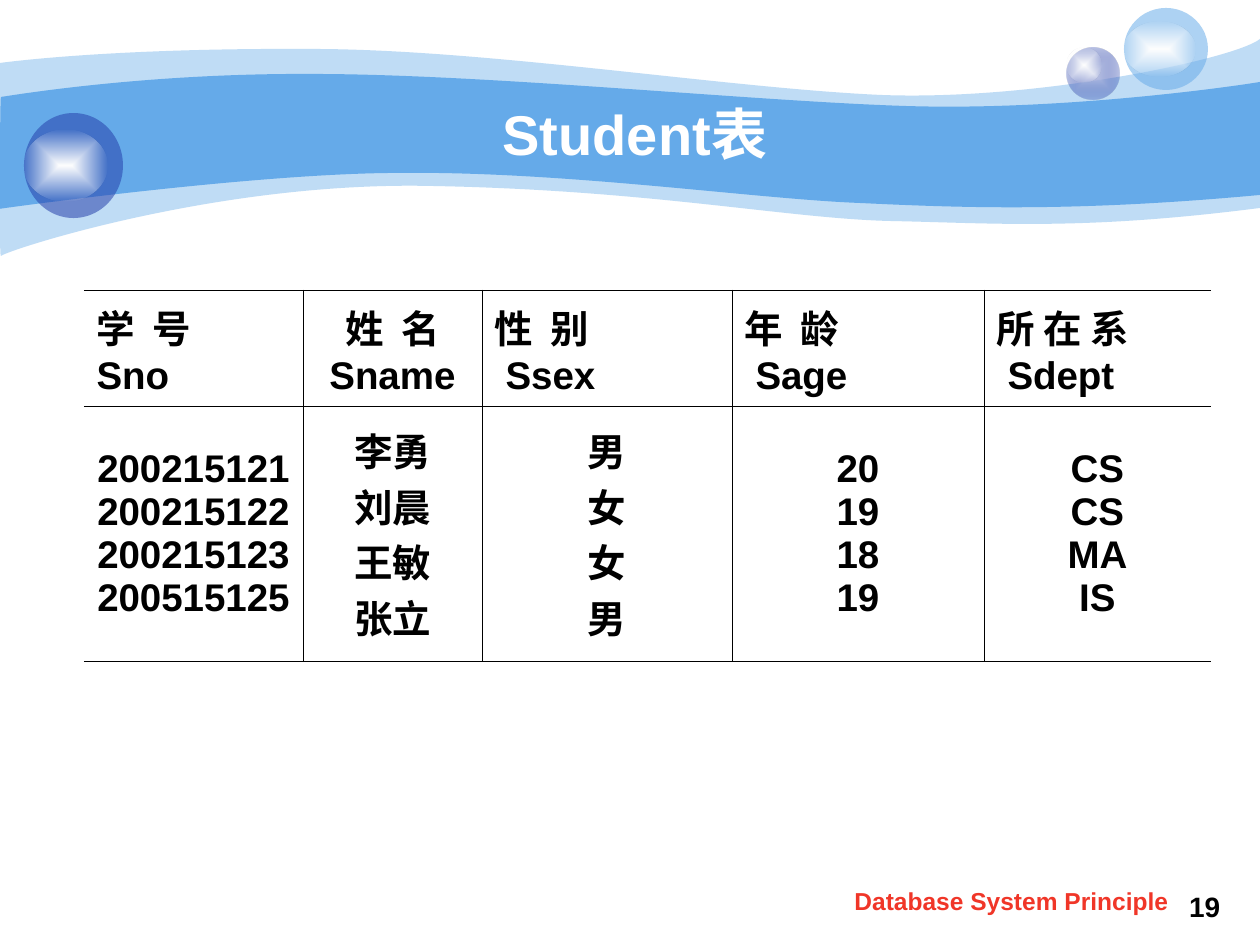
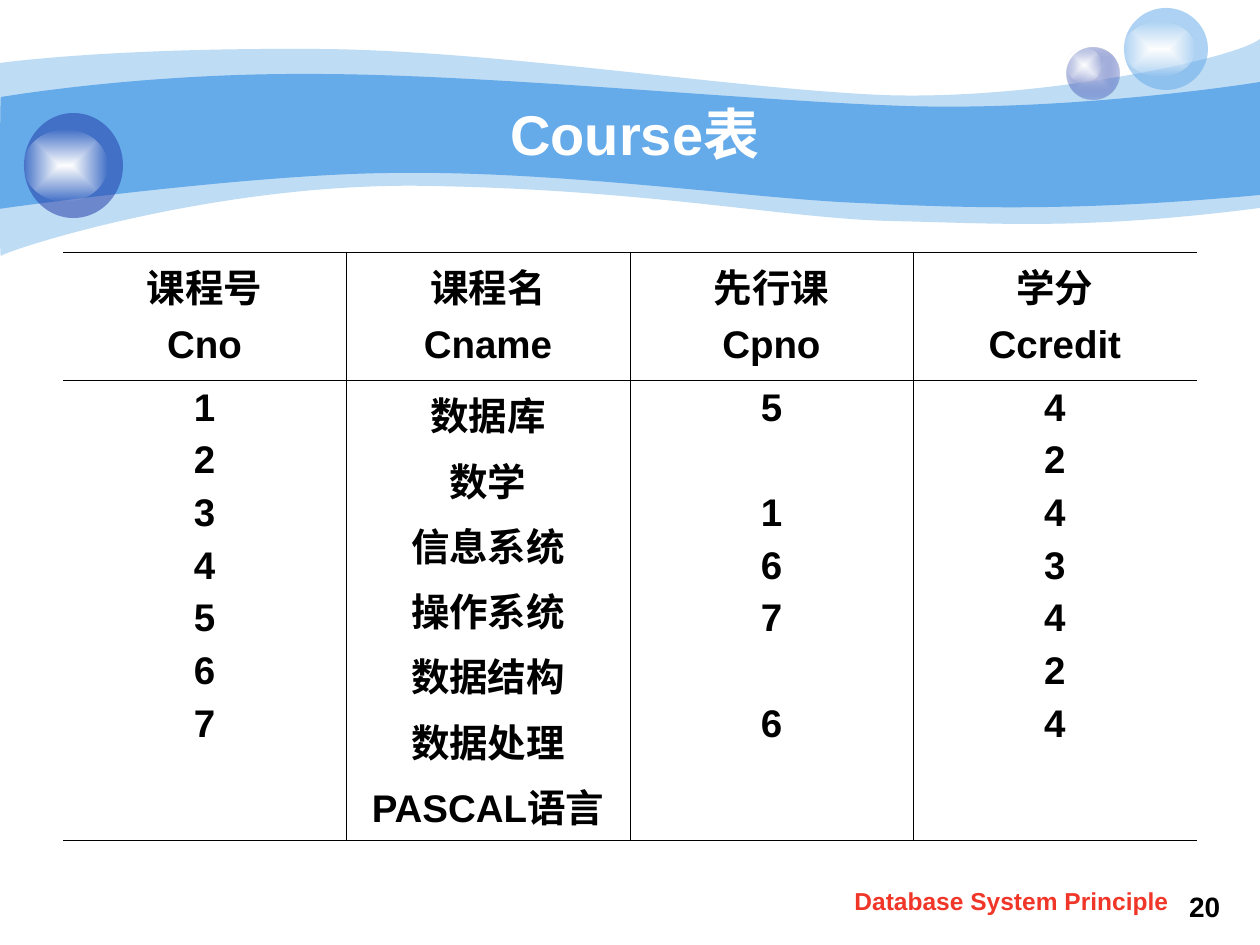
from dataclasses import dataclass

from lxml.etree import SubElement
from pptx import Presentation
from pptx.dml.color import RGBColor as Rgb
from pptx.enum.shapes import MSO_SHAPE as Shape
from pptx.enum.text import MSO_ANCHOR as Anchor, PP_ALIGN as Align
from pptx.oxml import parse_xml
from pptx.oxml.ns import nsdecls, qn
from pptx.util import Pt

SCALE = 914400 / 126  # EMU in one px
FONT = "Arial"
COLORS = {
    "sky": "65AAE9", "navy": "233DA9", "mist": "C7CEE9",
    "white": "FFFFFF", "black": "000000", "red": "F03628",
}
LINE = 24.6  # height in points of one table line of digits

# Bands: start point, then curves (three points) and straight lines (one)
OUTER = [(0, 63),
         [(30, 59), (135, 48), (311, 49)], [(486, 49), (725, 88), (881, 95)],
         [(1036, 101), (1235, 59), (1260, 39)], [(1260, 208)],
         [(1081, 231), (992, 223), (888, 221)],
         [(784, 218), (649, 190), (432, 186)],
         [(217, 181), (5, 251), (1, 256)], [(-1, 262), (0, 95), (0, 63)]]
INNER = [(1, 97),
         [(3, 97), (139, 73), (312, 74)], [(486, 74), (750, 101), (905, 106)],
         [(1060, 111), (1230, 87), (1260, 82)], [(1260, 195)],
         [(1075, 212), (964, 208), (859, 203)],
         [(755, 199), (563, 171), (399, 173)],
         [(256, 173), (-3, 209), (-1, 209)], [(0, 209), (0, 97), (1, 97)]]


@dataclass
class Col:
    width: int
    head: list
    body: list
    align: Align = Align.CENTER  # of the head
    indent: int = 0              # px, second head line
    spread: float = 0            # points between letters, first head line


def emu(*sizes):
    return [round(size * SCALE) for size in sizes]


def style(para, size, color, align=Align.CENTER):
    para.alignment = align
    font = para.font
    font.name, font.size, font.bold = FONT, Pt(size), True
    font.color.rgb = Rgb.from_string(COLORS[color])


def label(slide, box, text, size, color, anchor=Anchor.TOP):
    frame = slide.shapes.add_textbox(*emu(*box)).text_frame
    frame.word_wrap = True
    frame.vertical_anchor = anchor
    para = frame.paragraphs[0]
    para.text = text
    style(para, size, color)


def paint(shape, color, alpha=100):
    shape.shadow.inherit = False
    shape.line.fill.background()
    shape.fill.solid()
    shape.fill.fore_color.rgb = Rgb.from_string(COLORS[color])
    if alpha < 100:
        tint = shape._element.spPr.find(qn("a:solidFill"))[0]
        SubElement(tint, qn("a:alpha"), val=str(alpha * 1000))


def glow(shape, core, rim, alpha):
    """Fill from the core colour to a see-through rim."""
    paint(shape, core)
    props = shape._element.spPr
    grad = parse_xml(
        f'<a:gradFill {nsdecls("a")} rotWithShape="1"><a:gsLst>'
        f'<a:gs pos="0"><a:srgbClr val="{COLORS[core]}"/></a:gs>'
        f'<a:gs pos="100000"><a:srgbClr val="{COLORS[rim]}">'
        f'<a:alpha val="{alpha * 1000}"/></a:srgbClr></a:gs></a:gsLst>'
        '<a:path path="rect"><a:fillToRect l="50000" t="50000" '
        'r="50000" b="50000"/></a:path></a:gradFill>')
    props.replace(props.find(qn("a:solidFill")), grad)


def bend(shape, parts):
    """Join each three points of the outline into one cubic curve."""
    track = next(shape._element.iter(qn("a:path")))
    lines = iter(track.findall(qn("a:lnTo")))
    for part in parts:
        steps = [next(lines) for _ in part]
        if len(part) == 3:
            curve = parse_xml(f'<a:cubicBezTo {nsdecls("a")}/>')
            steps[0].addprevious(curve)
            for step in steps:
                curve.append(step[0])
                track.remove(step)


def band(slide, box, outline, alpha):
    left, top = box
    start, *parts = outline
    pen = slide.shapes.build_freeform(*emu(left + start[0], top + start[1]))
    pen.add_line_segments([emu(left + x, top + y)
                           for part in parts for x, y in part], close=True)
    shape = pen.convert_to_shape()
    bend(shape, parts)
    paint(shape, "sky", alpha)


def orb(slide, box, shine, color, alpha):
    """A ball with a shine whose box is relative to the ball."""
    left, top, wide, high = box
    dx, dy, w, h = shine
    add = slide.shapes.add_shape
    ball = add(Shape.OVAL, *emu(left, top, wide, high))
    if color == "mist":
        glow(ball, "mist", "navy", alpha)
    else:
        paint(ball, color, alpha)
    glow(add(Shape.OVAL, *emu(left + dx, top + dy, w, h)), "white", "white", 0)


def header(slide, box, title):
    left, top = box
    band(slide, box, OUTER, 41)
    band(slide, box, INNER, 100)
    orb(slide, (left + 1067, top + 48, 53, 51), (0, 0, 35, 34), "mist", 31)
    orb(slide, (left + 1124, top + 8, 84, 82), (0, 14, 71, 54), "sky", 53)
    orb(slide, (left + 24, top + 113, 99, 105), (0, 17, 83, 71), "navy", 53)
    label(slide, (left + 126, top + 94, 1018, 78), title, 32, "white",
          Anchor.MIDDLE)


def footer(slide, box, page):
    left, top = box
    label(slide, (left + 357, top + 3, 79, 47), str(page), 16, "black")
    label(slide, (left, top, 407, 44), "Database System Principle", 14, "red")


def border(cell, first, last):
    """Thin rules on all sides but the outer left and right."""
    props = cell._tc.get_or_add_tcPr()
    for side, hidden in (("L", first), ("R", last), ("T", False), ("B", False)):
        line = SubElement(props, qn(f"a:ln{side}"), w=str(Pt(0.45)))
        if hidden:
            SubElement(line, qn("a:noFill"))
        else:
            fill = SubElement(line, qn("a:solidFill"))
            SubElement(fill, qn("a:srgbClr"), val=COLORS["black"])


def write(cell, lines, gap, align):
    """One paragraph a line; None leaves a line's height open."""
    frame, skip = cell.text_frame, 0
    for row, text in enumerate(lines):
        if text is None:
            skip += gap + LINE
            continue
        para = frame.add_paragraph() if row else frame.paragraphs[0]
        para.text = text
        if row and gap + skip:
            para.space_before = Pt(gap + skip)
        skip = 0
        style(para, 22, "black", align)
    return frame.paragraphs


def grid(slide, box, cols, heights, gap=0, anchor=Anchor.TOP):
    left, top = box
    wide = sum(col.width for col in cols)
    table = slide.shapes.add_table(
        2, len(cols), *emu(left, top, wide, sum(heights))).table
    table.first_row = table.horz_banding = False
    for row, high in zip(table.rows, heights):
        row.height = emu(high)[0]
    for i, col in enumerate(cols):
        table.columns[i].width = emu(col.width)[0]
        cells = table.cell(0, i), table.cell(1, i)
        for cell in cells:
            border(cell, i == 0, i == len(cols) - 1)
            cell.fill.background()
            cell.vertical_anchor = anchor
        name, code = write(cells[0], col.head, gap, col.align)
        if col.spread:
            props = name.runs[0]._r.get_or_add_rPr()
            props.set("spc", str(round(col.spread * 100)))
        if col.indent:
            code._p.get_or_add_pPr().set("marL", str(emu(col.indent)[0]))
        write(cells[1], col.body, gap, Align.CENTER)


def page(deck, title, number):
    slide = deck.slides.add_slide(deck.slide_layouts[6])
    header(slide, (0, 0), title)
    footer(slide, (808, 880), number)
    return slide


def student(deck):
    cols = [
        Col(219, ["学 号", "Sno"],
            ["200215121", "200215122", "200215123", "200515125"],
            Align.LEFT, spread=2.5),
        Col(179, ["姓 名", "Sname"], ["李勇", "刘晨", "王敏", "张立"],
            spread=2.5),
        Col(250, ["性 别", "Ssex"], ["男", "女", "女", "男"],
            Align.LEFT, 11, 2.5),
        Col(252, ["年 龄", "Sage"], ["20", "19", "18", "19"],
            Align.LEFT, 11, 2.5),
        Col(227, ["所 在 系", "Sdept"], ["CS", "CS", "MA", "IS"],
            Align.LEFT, 11),
    ]
    grid(page(deck, "Student表", 19), (84, 290), cols, (116, 255),
         anchor=Anchor.MIDDLE)


def course(deck):
    cols = [
        Col(283, ["课程号", "Cno"], list("1234567")),
        Col(284, ["课程名", "Cname"], ["数据库", "数学", "信息系统", "操作系统",
                                    "数据结构", "数据处理", "PASCAL语言"]),
        Col(283, ["先行课", "Cpno"], ["5", None, "1", "6", "7", None, "6"]),
        Col(284, ["学分", "Ccredit"], list("4243424")),
    ]
    grid(page(deck, "Course表", 20), (63, 252), cols, (128, 460), gap=5.5)


def main():
    deck = Presentation()
    deck.slide_width, deck.slide_height = emu(1260, 945)
    student(deck)
    course(deck)
    deck.save("out.pptx")


if __name__ == "__main__":
    main()
